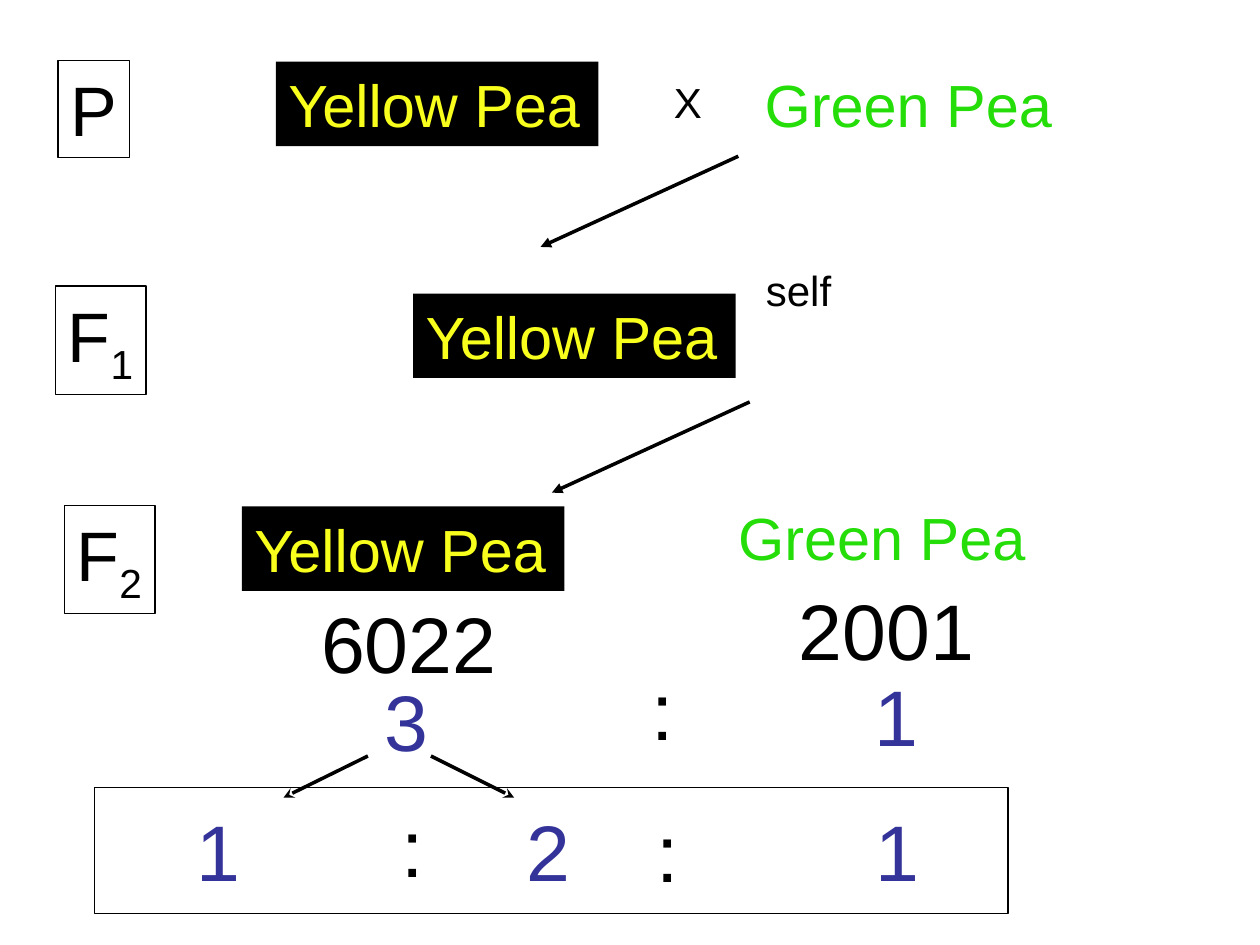
from lxml.etree import SubElement
from pptx import Presentation
from pptx.dml.color import RGBColor
from pptx.enum.shapes import MSO_CONNECTOR, MSO_SHAPE
from pptx.enum.text import MSO_ANCHOR, MSO_AUTO_SIZE, PP_ALIGN
from pptx.oxml.ns import qn
from pptx.util import Inches, Pt

SLIDE_WIDTH, SLIDE_HEIGHT = Inches(10), Inches(7.5)
COLUMNS, ROWS = 100, 75
BLACK, YELLOW, GREEN, BLUE = "000000", "F9FF1D", "25DE09", "333399"


def color(value):
    """Turn a hex string into a colour."""
    return RGBColor.from_string(value)


def across(columns):
    """Turn grid columns into a length."""
    return round(SLIDE_WIDTH * columns / COLUMNS)


def down(rows):
    """Turn grid rows into a length."""
    return round(SLIDE_HEIGHT * rows / ROWS)


def place(left, top, width, height):
    """Turn a grid rectangle into lengths."""
    return across(left), down(top), across(width), down(height)


def write_text(shape, text, size=45, font_color=BLACK, subscript=""):
    """Write one line of text, with an optional subscript, into a shape."""
    frame = shape.text_frame
    frame.word_wrap = False
    frame.auto_size = MSO_AUTO_SIZE.SHAPE_TO_FIT_TEXT
    frame.vertical_anchor = MSO_ANCHOR.TOP
    paragraph = frame.paragraphs[0]
    paragraph.alignment = PP_ALIGN.LEFT
    for part in filter(None, (text, subscript)):
        run = paragraph.add_run()
        run.text = part
        run.font.name = "Arial"
        run.font.size = Pt(size)
        run.font.color.rgb = color(font_color)
    if subscript:
        run._r.get_or_add_rPr().set("baseline", "-25000")


def add_label(slide, area, text, **text_format):
    """Add a plain text box."""
    write_text(slide.shapes.add_textbox(*place(*area)), text, **text_format)


def add_box(slide, area, fill=None, line=None):
    """Add a rectangle with an optional fill and outline."""
    box = slide.shapes.add_shape(MSO_SHAPE.RECTANGLE, *place(*area))
    box.shadow.inherit = False
    if fill:
        box.fill.solid()
        box.fill.fore_color.rgb = color(fill)
    else:
        box.fill.background()
    if line:
        box.line.color.rgb = color(line)
        box.line.width = Pt(0.75)
    else:
        box.line.fill.background()
    return box


def add_arrow(slide, start, end, head):
    """Add an arrow between two grid points."""
    arrow = slide.shapes.add_connector(
        MSO_CONNECTOR.STRAIGHT,
        across(start[0]), down(start[1]), across(end[0]), down(end[1]))
    arrow.line.color.rgb = color(BLACK)
    arrow.line.width = Pt(2)
    SubElement(arrow.line._get_or_add_ln(), qn("a:tailEnd"), type=head)
    SubElement(arrow._element.spPr, qn("a:effectLst"))


def add_generations(slide):
    """Add the framed generation names on the left."""
    for area, letter, number in (
            ((4.6, 4.8, 5.7, 7.7), "P", ""),
            ((4.4, 22.7, 7.2, 8.6), "F", "1"),
            ((5.1, 40.1, 7.2, 8.6), "F", "2")):
        write_text(add_box(slide, area, line=BLACK), letter, size=40, subscript=number)


def add_peas(slide):
    """Add the yellow and green peas with the notes on their crosses."""
    for left, top in ((21.9, 4.9), (32.8, 23.3), (19.2, 40.2)):
        box = add_box(slide, (left, top, 25.6, 6.7), fill=BLACK)
        write_text(box, "Yellow Pea", size=34, font_color=YELLOW)
    for left, top in ((59.7, 4.9), (57.6, 39.3)):
        add_label(slide, (left, top, 24.8, 6.7), "Green Pea", size=34, font_color=GREEN)
    add_label(slide, (52.5, 5.6, 4.2, 5), "X", size=24)
    add_label(slide, (59.8, 20.5, 7.2, 5), "self", size=24)


def add_ratios(slide):
    """Add the counts and the ratios below the second generation."""
    for left, top, count in ((24.5, 46.7, "6022"), (62.4, 45.7, "2001")):
        add_label(slide, (left, top, 15.9, 8.5), count)
    for left, top, number in (
            (29.5, 52.9, "3"), (68.4, 52.5, "1"),
            (14.6, 63.2, "1"), (40.8, 63.2, "2"), (68.5, 63.2, "1")):
        add_label(slide, (left, top, 5.5, 8.5), number, font_color=BLUE)
    for left, top in ((50.7, 51.9), (30.9, 62.8), (51.1, 63.2)):
        add_label(slide, (left, top, 3.7, 8.7), ":", size=46)
    add_box(slide, (7.5, 62.5, 72.5, 10), line=BLACK)


def add_arrows(slide):
    """Add the arrows between generations and ratios."""
    for start, end, head in (
            ((58.6, 12.4), (42.9, 19.6), "triangle"),
            ((59.5, 31.9), (43.8, 39.1), "triangle"),
            ((34.2, 60), (40.8, 63.3), "stealth"),
            ((29.2, 60), (22.5, 63.3), "stealth")):
        add_arrow(slide, start, end, head)


def main():
    """Build and save the slide."""
    presentation = Presentation()
    presentation.slide_width, presentation.slide_height = SLIDE_WIDTH, SLIDE_HEIGHT
    slide = presentation.slides.add_slide(presentation.slide_layouts[6])
    add_generations(slide)
    add_peas(slide)
    add_ratios(slide)
    add_arrows(slide)
    presentation.save("out.pptx")


if __name__ == "__main__":
    main()
